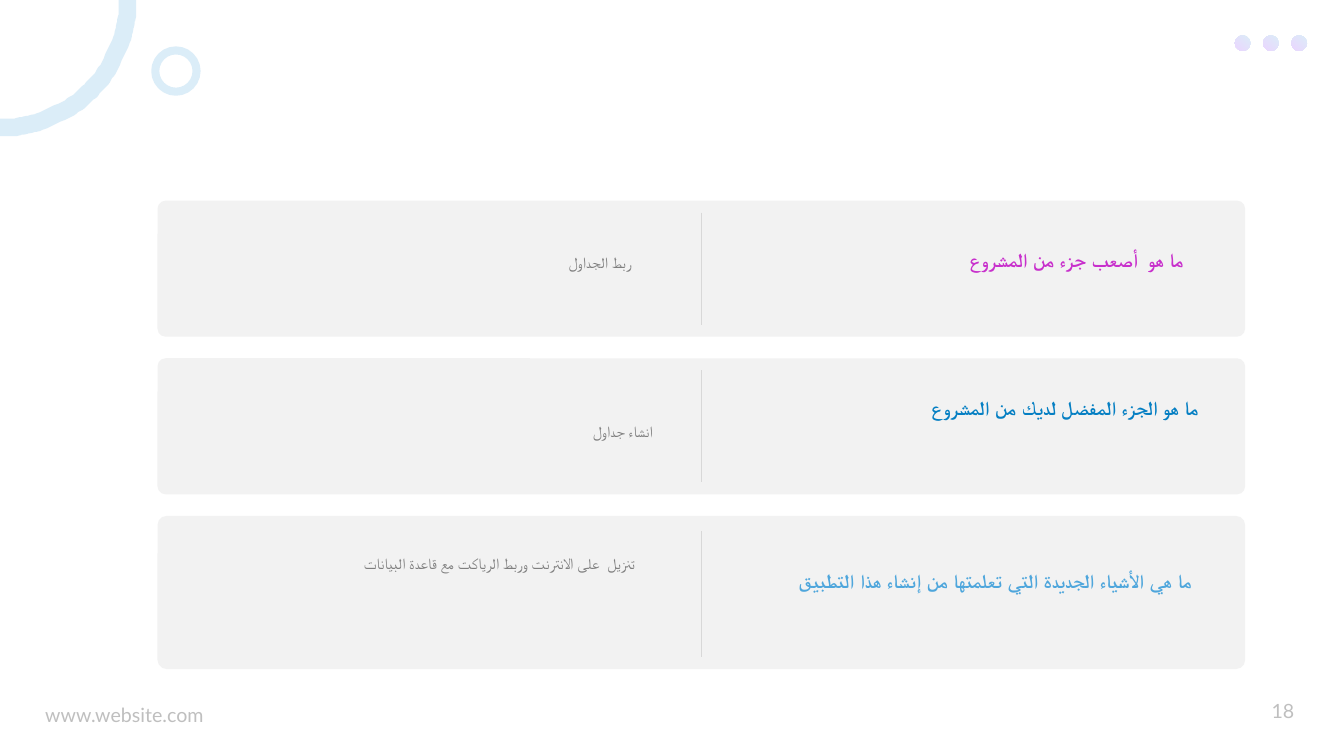
import math

import lxml.etree
import pptx
import pptx.dml.color
import pptx.enum.dml
import pptx.enum.shapes
import pptx.enum.text
import pptx.oxml.ns
import pptx.util

Pt = pptx.util.Pt
RGBColor = pptx.dml.color.RGBColor
Align = pptx.enum.text.PP_ALIGN
Anchor = pptx.enum.text.MSO_ANCHOR
AutoSize = pptx.enum.text.MSO_AUTO_SIZE
Shape = pptx.enum.shapes.MSO_SHAPE
qn = pptx.oxml.ns.qn

CARD_GREY = RGBColor(0xF2, 0xF2, 0xF2)
DIVIDER_GREY = RGBColor(0xD8, 0xD8, 0xD8)
ANSWER_GREY = RGBColor(0x7F, 0x7F, 0x7F)
FOOTER_GREY = RGBColor(0xBF, 0xBF, 0xBF)
SKY = RGBColor(0x4E, 0xA6, 0xDC)
VIOLET = RGBColor(0x9D, 0x30, 0xFF)
BLUE = RGBColor(0x05, 0x7F, 0xC3)
MAGENTA = RGBColor(0xC8, 0x30, 0xCC)

FOOTER = {"name": "Lato", "size": Pt(14)}
QUESTION = {"name": "Lato", "size": Pt(14), "bold": True}
ANSWER = {"name": "Calibri", "size": Pt(11)}

CARD_LEFT, CARD_WIDTH = 112.5, 776.9
CARD_TOP, CARD_STEP = 143.3, 112.6
DIVIDER_X = 501.1
CARDS = [
    {"height": 97.2, "divider": (8.6, 88.6), "colour": MAGENTA,
     "question": ("ما هو  أصعب جزء من المشروع", 547.9, 172.8, 304.6, 24.5),
     "answer": ("ربط الجداول", 165.6, 174.2, 292.3, 20.9)},
    {"height": 97.2, "divider": (8.6, 88.6), "colour": BLUE,
     "question": ("ما هو الجزء المفضل لديك من المشروع", 558.7, 278.6, 304.6, 24.5),
     "answer": ("انشاء جداول", 168.5, 294.5, 304.6, 20.9)},
    {"height": 109.4, "divider": (10.8, 100.8), "colour": SKY,
     "question": ("ما هي الأشياء الجديدة التي تعلمتها من إنشاء هذا التطبيق",
                  553.7, 402.5, 304.6, 24.5),
     "answer": ("تنزيل  على الانترنت وربط الرياكت مع قاعدة البيانات",
                131.8, 388.8, 329, 20.9)},
]


def apply_format(target, values):
    for name, value in values.items():
        setattr(target, name, value)


def make_translucent(element):
    for colour in element.iter(qn("a:srgbClr")):
        lxml.etree.SubElement(colour, qn("a:alpha"), val="20000")


def add_text(slide, text, box, font, colour, frame_format, paragraph_format, rtl=False):
    shape = slide.shapes.add_textbox(*map(Pt, box))
    frame = shape.text_frame
    apply_format(frame, {"word_wrap": True, **frame_format})
    paragraph = frame.paragraphs[0]
    apply_format(paragraph, paragraph_format)
    if rtl:
        paragraph._p.get_or_add_pPr().set("rtl", "1")
    run = paragraph.add_run()
    run.text = text
    apply_format(run.font, font)
    run.font.color.rgb = colour


def add_plain_shape(slide, preset, left, top, width, height):
    shape = slide.shapes.add_shape(preset, Pt(left), Pt(top), Pt(width), Pt(height))
    shape.shadow.inherit = False
    return shape


def add_dot(slide, left):
    dot = add_plain_shape(slide, Shape.OVAL, left, 25.2, 11.2, 11.2)
    dot.line.fill.background()
    dot.fill.gradient()
    dot.fill.gradient_angle = 230
    for stop, colour, position in zip(dot.fill.gradient_stops, (SKY, VIOLET), (0, 1)):
        stop.color.rgb = colour
        stop.position = position
    make_translucent(dot._element.spPr)


def outline_ring(shape, width):
    shape.shadow.inherit = False
    shape.fill.background()
    shape.line.color.rgb = SKY
    shape.line.width = Pt(width)
    make_translucent(shape._element.spPr)


def add_corner_arc(slide, radius, segments=60):
    points = [(radius * math.cos(angle), radius * math.sin(angle))
              for angle in (math.pi / 2 * i / segments for i in range(segments + 1))]
    builder = slide.shapes.build_freeform(*points[0], scale=float(Pt(1)))
    builder.add_line_segments(points[1:], close=False)
    outline_ring(builder.convert_to_shape(), 12.5)


def add_divider(slide, top, bottom):
    divider = slide.shapes.add_connector(
        pptx.enum.shapes.MSO_CONNECTOR.STRAIGHT,
        Pt(DIVIDER_X), Pt(top), Pt(DIVIDER_X), Pt(bottom))
    divider.line.color.rgb = DIVIDER_GREY
    divider.line.width = Pt(0.75)
    lxml.etree.SubElement(divider._element.spPr, qn("a:effectLst"))


def add_card(slide, top, card):
    panel = add_plain_shape(slide, Shape.ROUNDED_RECTANGLE,
                            CARD_LEFT, top, CARD_WIDTH, card["height"])
    panel.adjustments[0] = 0.06
    panel.fill.solid()
    panel.fill.fore_color.rgb = CARD_GREY
    panel.line.fill.background()
    add_divider(slide, *(top + offset for offset in card["divider"]))
    grow = {"auto_size": AutoSize.SHAPE_TO_FIT_TEXT}
    answer, *answer_box = card["answer"]
    add_text(slide, answer, answer_box, ANSWER, ANSWER_GREY, grow,
             {"alignment": Align.RIGHT, "line_spacing": 1.25}, rtl=True)
    question, *question_box = card["question"]
    add_text(slide, question, question_box, QUESTION, card["colour"],
             {**grow, "vertical_anchor": Anchor.BOTTOM},
             {"alignment": Align.RIGHT}, rtl=True)


def main():
    presentation = pptx.Presentation()
    presentation.slide_width = Pt(960)
    presentation.slide_height = Pt(540)
    slide = presentation.slides.add_slide(presentation.slide_layouts.get_by_name("Blank"))

    add_corner_arc(slide, 91.4)
    outline_ring(add_plain_shape(slide, Shape.OVAL, 110.9, 36, 29.5, 29.5), 5.75)
    for index in range(3):
        add_dot(slide, 882 + 20.2 * index)
    add_text(slide, "www.website.com", (25.2, 491.8, 280.8, 31), FOOTER, FOOTER_GREY,
             {"vertical_anchor": Anchor.BOTTOM}, {"line_spacing": 0.9})
    add_text(slide, "18", (871.2, 491.8, 60.5, 31), FOOTER, FOOTER_GREY,
             {"vertical_anchor": Anchor.MIDDLE}, {"alignment": Align.RIGHT})
    for index, card in enumerate(CARDS):
        add_card(slide, CARD_TOP + CARD_STEP * index, card)

    presentation.save("out.pptx")


if __name__ == "__main__":
    main()
